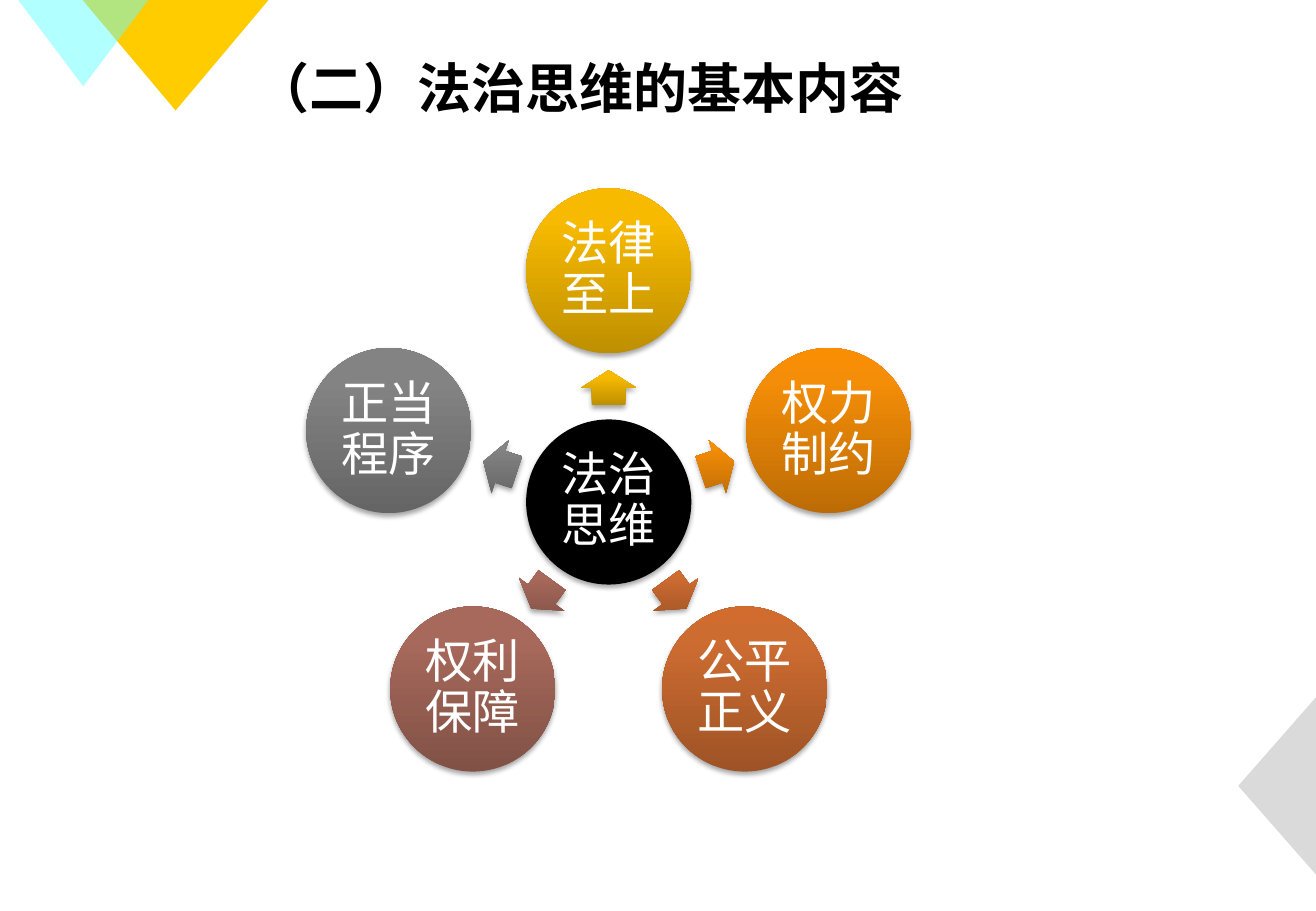
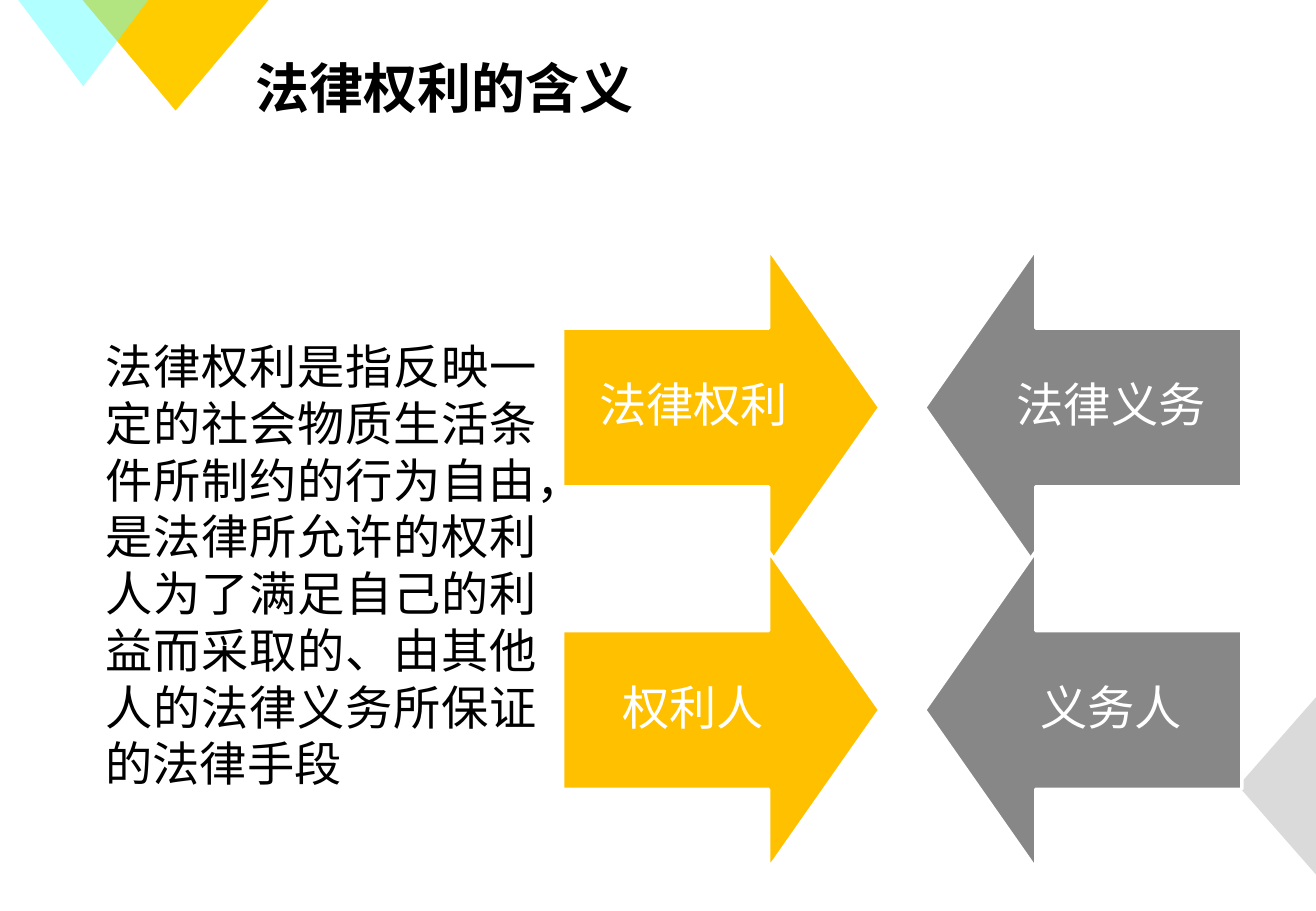
import math

import lxml.etree
import pptx
import pptx.dml.color
import pptx.enum.shapes
import pptx.enum.text
import pptx.oxml.ns
import pptx.util

Inches, Pt = pptx.util.Inches, pptx.util.Pt
qn = pptx.oxml.ns.qn
SHAPE = pptx.enum.shapes.MSO_SHAPE
ALIGN = pptx.enum.text.PP_ALIGN
ANCHOR = pptx.enum.text.MSO_ANCHOR

FONT = "Noto Sans CJK SC"
COLORS = {
    "black": "000000", "white": "FFFFFF",
    "yellow": "FFCC00", "cyan": "66FFFF", "pale": "B7B7B7",
    "right": "FFC000", "duty": "878787",
}
# Each principle has its gradient stops at 0, 80 and 100 percent, bottom to top
PRINCIPLES = [
    ("法律至上", ("BE8F00", "F7BA00", "F8BB00")),
    ("权力制约", ("BC6C05", "F48D07", "FA8E02")),
    ("公平正义", ("9E5326", "CD6C31", "D16C2E")),
    ("权利保障", ("815146", "A7695B", "AA695A")),
    ("正当程序", ("656565", "838383", "838383")),
]
TITLE_FORMAT = {"size": Pt(32), "bold": True, "name": FONT}
TEXT_FORMAT = {"size": Pt(28), "bold": False, "name": FONT}


def rgb(name):
    return pptx.dml.color.RGBColor.from_string(COLORS[name])


def sub(parent, tag, **attributes):
    """Append a drawing element with the given attributes."""
    element = lxml.etree.SubElement(parent, qn(tag))
    for key, value in attributes.items():
        element.set(key, str(value))
    return element


def write(frame, text, text_format, color, align, inset=None, spacing=None,
          anchor=ANCHOR.MIDDLE):
    frame.word_wrap = True
    frame.vertical_anchor = anchor
    if inset is not None:
        for side in ("left", "top", "right", "bottom"):
            setattr(frame, f"margin_{side}", Inches(inset))
    paragraph = frame.paragraphs[0]
    paragraph.alignment = align
    if spacing:
        paragraph.line_spacing = spacing
    run = paragraph.add_run()
    run.text = text
    for key, value in text_format.items():
        setattr(run.font, key, value)
    run.font.color.rgb = rgb(color)
    properties = run.font._element
    properties.set("lang", "zh-CN")
    sub(properties, "a:ea", typeface=FONT)


def add_shape(slide, kind, box, color, rotation=0, alpha=None):
    """Add a plain shape without outline or shadow."""
    shape = slide.shapes.add_shape(kind, *map(Inches, box))
    shape.rotation = rotation
    shape.shadow.inherit = False
    shape.fill.solid()
    shape.fill.fore_color.rgb = rgb(color)
    shape.line.fill.background()
    if alpha:
        tint = shape.element.spPr.find(".//" + qn("a:srgbClr"))
        sub(tint, "a:alpha", val=alpha * 1000)
    return shape


def centred(x, y, width, height):
    return x - width / 2, y - height / 2, width, height


def shade(shape, stops):
    """Replace the fill with an upright gradient."""
    properties = shape.element.spPr
    gradient = lxml.etree.Element(qn("a:gradFill"), rotWithShape="0")
    stop_list = sub(gradient, "a:gsLst")
    for position, color in zip((0, 80, 100), stops):
        sub(sub(stop_list, "a:gs", pos=position * 1000), "a:srgbClr", val=color)
    sub(gradient, "a:lin", ang=270 * 60000, scaled=0)
    properties.replace(properties.find(qn("a:solidFill")), gradient)


def drop_shadow(shape):
    effects = shape.element.spPr.find(qn("a:effectLst"))
    shadow = sub(effects, "a:outerShdw", blurRad=Pt(3.1), dist=Pt(1.8),
                 dir=90 * 60000, rotWithShape=0)
    sub(sub(shadow, "a:srgbClr", val=COLORS["black"]), "a:alpha", val=35000)


def decorate(layout, slide):
    """Corner triangles, moved to the layout that all slides share."""
    corners = [
        ((0.68, 0, 1.53, 0.91), "yellow", 180, None),
        ((0.15, 0, 1.07, 0.71), "cyan", 180, 50),
        ((9.78, 6.15, 1.46, 0.64), "pale", 270, 50),
    ]
    for box, color, rotation, alpha in corners:
        corner = add_shape(slide, SHAPE.ISOSCELES_TRIANGLE, box, color, rotation, alpha)
        layout.shapes.element.append(corner.element)


def add_titled_slide(deck, layout, title):
    slide = deck.slides.add_slide(layout)
    heading = slide.shapes.title
    for side, value in zip(("left", "top", "width", "height"), (2, 0.36, 7.79, 0.71)):
        setattr(heading, side, Inches(value))
    write(heading.text_frame, title, TITLE_FORMAT, "black", ALIGN.JUSTIFY)
    return slide


def radial_diagram(slide, box):
    """Hub circle with principles spread evenly around it."""
    left, top, width, diameter = box
    orbit = (width - diameter) / 2 / math.cos(math.radians(18))
    pointer_orbit = 0.94
    hub_x, hub_y = left + width / 2, top + diameter / 2 + orbit

    def circle(x, y, text, stops=None):
        disc = add_shape(slide, SHAPE.OVAL, centred(x, y, diameter, diameter), "black")
        if stops:
            shade(disc, stops)
        drop_shadow(disc)
        write(disc.text_frame, text, TEXT_FORMAT, "white", ALIGN.CENTER, 0.04, 0.9)

    circle(hub_x, hub_y, "法治思维")
    for index, (text, stops) in enumerate(PRINCIPLES):
        angle = -90 + index * 360 / len(PRINCIPLES)
        dx, dy = math.cos(math.radians(angle)), math.sin(math.radians(angle))
        pointer_box = centred(hub_x + dx * pointer_orbit, hub_y + dy * pointer_orbit,
                              0.29, 0.46)
        pointer = add_shape(slide, SHAPE.RIGHT_ARROW, pointer_box, "black", angle % 360)
        pointer.adjustments[0], pointer.adjustments[1] = 0.6, 0.5
        shade(pointer, stops)
        drop_shadow(pointer)
        circle(hub_x + dx * orbit, hub_y + dy * orbit, text, stops)


def definition(slide, box, text):
    body = slide.shapes.add_textbox(*map(Inches, box))
    write(body.text_frame, text, TEXT_FORMAT, "black", ALIGN.JUSTIFY, anchor=ANCHOR.TOP)
    body.text_frame.paragraphs[0]._p.get_or_add_pPr().set("hangingPunct", "1")


def opposing_arrows(slide, box, rows):
    """Pairs of arrows that point at each other, one pair per row."""
    left, top, width, height = box
    size = 2.61
    row_step = (height - size) / (len(rows) - 1)
    sides = [
        (SHAPE.RIGHT_ARROW, left, "right"),
        (SHAPE.LEFT_ARROW, left + width - size, "duty"),
    ]
    for row, labels in enumerate(rows):
        for (kind, x, color), label in zip(sides, labels):
            arrow = add_shape(slide, kind, (x, top + row * row_step, size, size), color)
            arrow.adjustments[0], arrow.adjustments[1] = 0.5, 0.35
            arrow.line.color.rgb = rgb("white")
            arrow.line.width = Pt(2)
            write(arrow.text_frame, label, TEXT_FORMAT, "white", ALIGN.CENTER, 0.22, 0.9)


def main():
    deck = pptx.Presentation()
    deck.slide_width, deck.slide_height = Inches(10.83), Inches(7.5)
    layout = deck.slide_layouts[5]

    # Content of rule-of-law thinking
    thinking = add_titled_slide(deck, layout, "（二）法治思维的基本内容")
    decorate(layout, thinking)
    radial_diagram(thinking, (2.52, 1.55, 4.98, 1.36))

    # Meaning of legal rights
    rights = add_titled_slide(deck, layout, "法律权利的含义")
    definition(rights, (0.77, 2.73, 3.75, 4.17),
               "法律权利是指反映一定的社会物质生活条件所制约的行为自由，"
               "是法律所允许的权利人为了满足自己的利益而采取的、"
               "由其他人的法律义务所保证的法律手段")
    opposing_arrows(rights, (4.63, 2.05, 5.59, 5.1),
                    [("法律权利", "法律义务"), ("权利人", "义务人")])
    deck.save("out.pptx")


if __name__ == "__main__":
    main()
